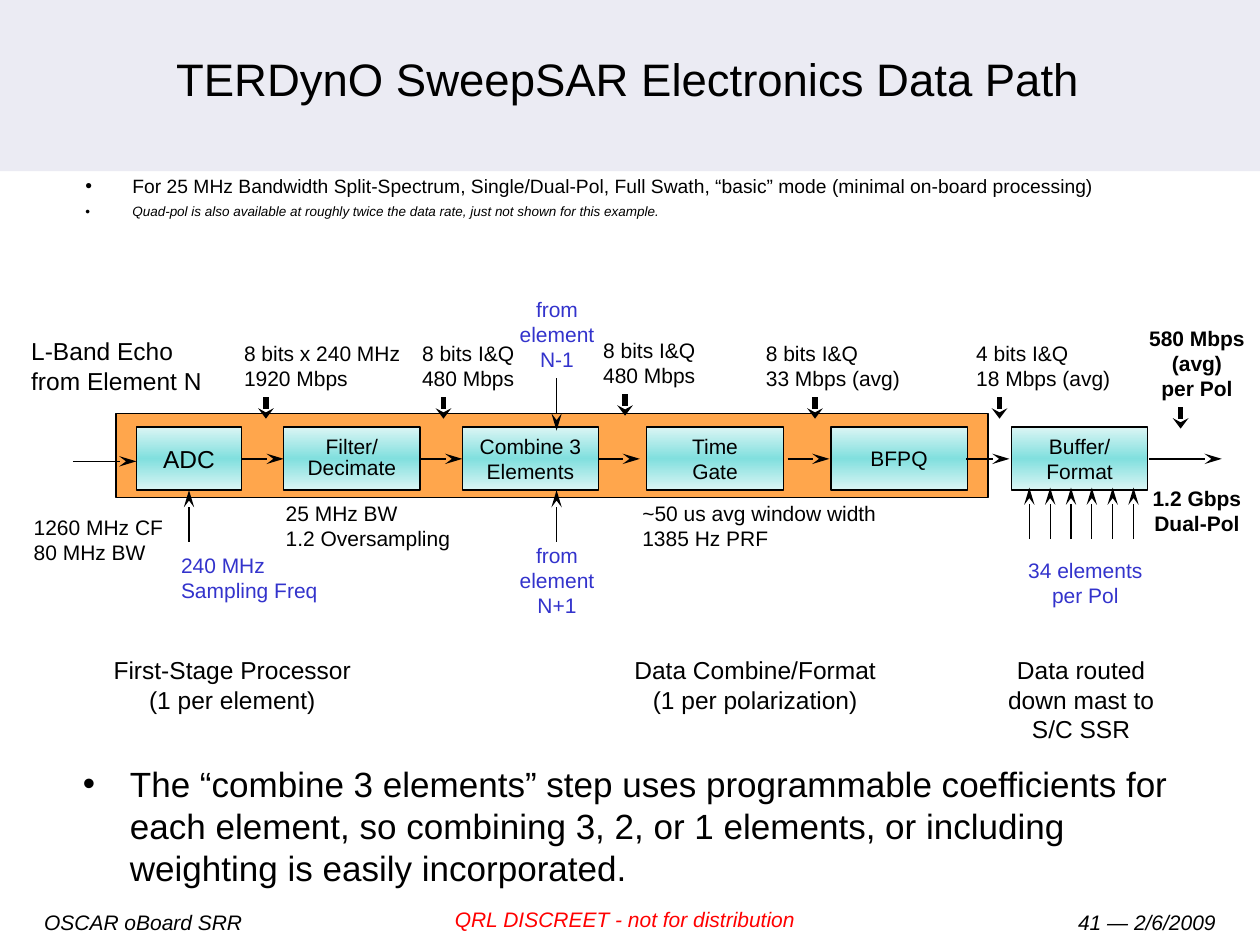
"""Build the electronics data path slide."""
from copy import deepcopy
from dataclasses import dataclass
from typing import NamedTuple

from lxml.etree import SubElement
from pptx import Presentation
from pptx.dml.color import RGBColor
from pptx.enum.shapes import MSO_CONNECTOR, MSO_SHAPE
from pptx.enum.text import MSO_ANCHOR, PP_ALIGN
from pptx.oxml.ns import qn
from pptx.util import Cm, Pt


@dataclass(frozen=True)
class Theme:
    font: str = "Arial"
    ink: RGBColor = RGBColor(0, 0, 0)
    blue: RGBColor = RGBColor(0x33, 0x33, 0xCC)
    red: RGBColor = RGBColor(0xFF, 0, 0)
    band: RGBColor = RGBColor(0xEB, 0xEB, 0xF3)
    orange: RGBColor = RGBColor(0xFF, 0xA6, 0x4C)
    pale: RGBColor = RGBColor(0xDB, 0xF5, 0xF4)
    teal: RGBColor = RGBColor(0x81, 0xDF, 0xDE)
    title: float = 26
    point: float = 20
    head: float = 14
    body: float = 12
    lead: float = 11
    note: float = 7.7
    thin: float = 0.75
    thick: float = 3


THEME = Theme()
LEFT, MID, RIGHT = PP_ALIGN.LEFT, PP_ALIGN.CENTER, PP_ALIGN.RIGHT


class Box(NamedTuple):
    left: float
    top: float
    width: float
    height: float


class Look(NamedTuple):
    size: float = THEME.body
    color: RGBColor = THEME.ink
    align: PP_ALIGN = LEFT
    bold: bool = False
    italic: bool = False


class Label(NamedTuple):
    text: str
    box: Box
    look: Look = Look()
    pad: float = 0.25


class Stage(NamedTuple):
    text: str
    left: float
    width: float = 2.75
    pad: float = 0.46
    size: float = THEME.body
    pitch: float = 1.0


class Arrow(NamedTuple):
    x: float
    y: float
    to_x: float
    to_y: float
    width: float = THEME.thin
    head: str = "lg"


class Point(NamedTuple):
    text: str
    size: float
    gap: float
    italic: bool = False


HEAD = Look(THEME.head)
HEAD_MID = Look(THEME.head, align=MID)
BLUE_MID = Look(color=THEME.blue, align=MID)
BOLD_MID = Look(align=MID, bold=True)

STAGES = [
    Stage("ADC", 2.75, 2.12, 0.25, THEME.head),
    Stage("Filter/\nDecimate", 5.72, pitch=0.85),
    Stage("Combine 3 Elements", 9.32, pad=0.25),
    Stage("Time Gate", 13.04),
    Stage("BFPQ", 16.75),
    Stage("Buffer/ Format", 20.39),
]
LABELS = [
    Label("L-Band Echo\nfrom Element N", Box(0.38, 6.65, 4.2, 1.45), HEAD),
    Label("8 bits x 240 MHz\n1920 Mbps", Box(4.67, 6.73, 4, 1.27)),
    Label("8 bits I&Q\n480 Mbps", Box(8.26, 6.73, 2.8, 1.27)),
    Label("8 bits I&Q\n480 Mbps", Box(11.91, 6.68, 2.8, 1.27)),
    Label("8 bits I&Q\n33 Mbps (avg)", Box(15.19, 6.73, 3.6, 1.27)),
    Label("4 bits I&Q\n18 Mbps (avg)", Box(19.43, 6.73, 3.6, 1.27)),
    Label("580 Mbps\n(avg)\nper Pol", Box(22.86, 6.43, 2.54, 1.78), BOLD_MID),
    Label("1.2 Gbps Dual-Pol", Box(22.86, 9.65, 2.54, 1.27), BOLD_MID),
    Label("1260 MHz CF\n80 MHz BW", Box(0.43, 10.24, 3.3, 1.27)),
    Label("240 MHz\nSampling Freq", Box(3.4, 11, 3.7, 1.27),
          Look(color=THEME.blue)),
    Label("25 MHz BW\n1.2 Oversampling", Box(5.51, 9.96, 4.2, 1.27)),
    Label("~50 us avg window width\n1385 Hz PRF", Box(12.7, 9.96, 5.6, 1.27)),
    Label("from element N-1", Box(9.96, 5.84, 2.54, 1.78), BLUE_MID),
    Label("from element N+1", Box(9.96, 10.8, 2.54, 1.78), BLUE_MID),
    Label("34 elements\nper Pol", Box(20.47, 11.1, 2.82, 1.27), BLUE_MID),
    Label("First-Stage Processor\n(1 per element)",
          Box(1.7, 13.21, 5.97, 1.47), HEAD_MID, 0),
    Label("Data Combine/Format\n(1 per polarization)",
          Box(12.24, 13.21, 5.97, 1.47), HEAD_MID, 0),
    Label("Data routed down mast to S/C SSR",
          Box(19.89, 13.21, 3.81, 1.9), HEAD_MID, 0),
    Label("OSCAR oBoard SRR", Box(0.64, 18.21, 6.35, 0.84), Look(italic=True)),
    Label("QRL DISCREET - not for distribution", Box(8.89, 18.14, 7.42, 0.76),
          Look(color=THEME.red, align=MID, italic=True)),
    Label("41 — 2/6/2009", Box(19.48, 18.21, 5.28, 0.84),
          Look(align=RIGHT, italic=True)),
]
FLOWS = [(4.87, 5.72), (8.47, 9.32), (12.07, 12.9),
         (15.88, 16.72), (19.48, 20.35), (23.16, 24.63)]
MARKS = [(5.36, 8.01), (8.94, 8.01), (12.6, 7.95), (16.43, 8.01),
         (20.15, 8.01), (23.8, 8.21)]
ARROWS = [
    Arrow(1.47, 9.3, 2.75, 9.3),
    *(Arrow(x, 9.25, to_x, 9.25) for x, to_x in FLOWS),
    *(Arrow(x, y, x, y + 0.43, THEME.thick, "sm") for x, y in MARKS),
    *(Arrow(x, 10.92, x, 9.88) for x in (3.81, 11.22)),
    Arrow(11.22, 7.62, 11.22, 8.68),
    *(Arrow(20.75 + 0.42 * i, 10.87, 20.75 + 0.42 * i, 9.83) for i in range(6)),
]
INTRO = [
    Point("For 25 MHz Bandwidth Split-Spectrum, Single/Dual-Pol, Full Swath, "
          "“basic” mode (minimal on-board processing)", THEME.lead, 5),
    Point("Quad-pol is also available at roughly twice the data rate, "
          "just not shown for this example.", THEME.note, 3.5, True),
]
CLOSE = [
    Point("The “combine 3 elements” step uses programmable coefficients for "
          "each element, so combining 3, 2, or 1 elements, or including "
          "weighting is easily incorporated.", THEME.point, 5),
]


def place(box: tuple) -> tuple:
    """Turn a box into lengths."""
    return tuple(Cm(side) for side in box)


def style(para, look: Look) -> None:
    """Set the alignment and font of a paragraph."""
    para.alignment = look.align
    font = para.font
    font.name, font.size = THEME.font, Pt(look.size)
    font.bold, font.italic = look.bold, look.italic
    font.color.rgb = look.color


def write(frame, text: str, look: Look, pad: float = 0.25) -> None:
    """Fill a frame with one paragraph for each line."""
    frame.margin_left = frame.margin_right = Cm(pad)
    frame.margin_top = frame.margin_bottom = Cm(min(pad, 0.13))
    frame.word_wrap = True
    frame.text = text
    for para in frame.paragraphs:
        style(para, look)


def add_label(shapes, label: Label) -> None:
    """Add a text box."""
    frame = shapes.add_textbox(*place(label.box)).text_frame
    write(frame, label.text, label.look, label.pad)


def add_points(shapes, box: Box, points: list[Point]) -> None:
    """Add a bulleted list."""
    frame = shapes.add_textbox(*place(box)).text_frame
    write(frame, "\n".join(point.text for point in points), Look())
    for para, point in zip(frame.paragraphs, points):
        para.space_before = Pt(point.gap)
        props = para._p.get_or_add_pPr()
        props.set("marL", str(Cm(0.95)))
        props.set("indent", str(-Cm(0.95)))
        base = props.find(qn("a:defRPr"))
        base.addprevious(SubElement(props, qn("a:buFont"), typeface=THEME.font))
        base.addprevious(SubElement(props, qn("a:buChar"), char="•"))
        style(para, Look(point.size, italic=point.italic))


def add_block(shapes, box: Box, color: RGBColor, edge: bool = True):
    """Add a filled rectangle."""
    block = shapes.add_shape(MSO_SHAPE.RECTANGLE, *place(box))
    block.shadow.inherit = False
    block.fill.solid()
    block.fill.fore_color.rgb = color
    if edge:
        block.line.color.rgb = THEME.ink
        block.line.width = Pt(THEME.thin)
    else:
        block.line.fill.background()
    return block


def add_stage(shapes, stage: Stage) -> None:
    """Add a shaded step of the data path."""
    block = add_block(shapes, Box(stage.left, 8.61, stage.width, 1.27), THEME.teal)
    fill = block.fill
    fill.gradient()
    fill.gradient_angle = 90
    first = block.element.spPr.find(".//" + qn("a:gs"))
    first.addnext(deepcopy(first))
    shades = (THEME.pale, THEME.teal, THEME.pale)
    for stop, spot, shade in zip(fill.gradient_stops, (0, 0.5, 1), shades):
        stop.position, stop.color.rgb = spot, shade
    frame = block.text_frame
    frame.vertical_anchor = MSO_ANCHOR.MIDDLE
    write(frame, stage.text, Look(stage.size, align=MID), stage.pad)
    for para in frame.paragraphs:
        para.line_spacing = stage.pitch


def add_arrow(shapes, arrow: Arrow) -> None:
    """Add a line with a stealth head at its end."""
    line = shapes.add_connector(MSO_CONNECTOR.STRAIGHT, *place(arrow[:4]))
    line.line.color.rgb = THEME.ink
    line.line.width = Pt(arrow.width)
    SubElement(line.line._get_or_add_ln(), qn("a:tailEnd"),
               type="stealth", w="med", len=arrow.head)
    SubElement(line.element.spPr, qn("a:effectLst"))


def add_title(shapes, text: str) -> None:
    """Set the title over its band."""
    title = shapes.title
    title.left, title.top, title.width, title.height = place(Box(3.3, 1.04, 18.92, 1.09))
    write(title.text_frame, text, Look(THEME.title))
    title.text_frame.vertical_anchor = MSO_ANCHOR.MIDDLE
    band = add_block(shapes, Box(0, 0, 25.4, 3.45), THEME.band, False)
    title.element.addprevious(band.element)


def main() -> None:
    """Build and save the slide."""
    deck = Presentation()
    deck.slide_width, deck.slide_height = Cm(25.4), Cm(19.05)
    shapes = deck.slides.add_slide(deck.slide_layouts[5]).shapes
    add_title(shapes, "TERDynO SweepSAR Electronics Data Path")
    add_points(shapes, Box(1.47, 3.38, 22.48, 1.75), INTRO)
    add_block(shapes, Box(2.34, 8.33, 17.58, 1.7), THEME.orange)
    for stage in STAGES:
        add_stage(shapes, stage)
    for arrow in ARROWS:
        add_arrow(shapes, arrow)
    for label in LABELS:
        add_label(shapes, label)
    add_points(shapes, Box(1.42, 15.24, 22.48, 2.97), CLOSE)
    deck.save("out.pptx")


if __name__ == "__main__":
    main()
